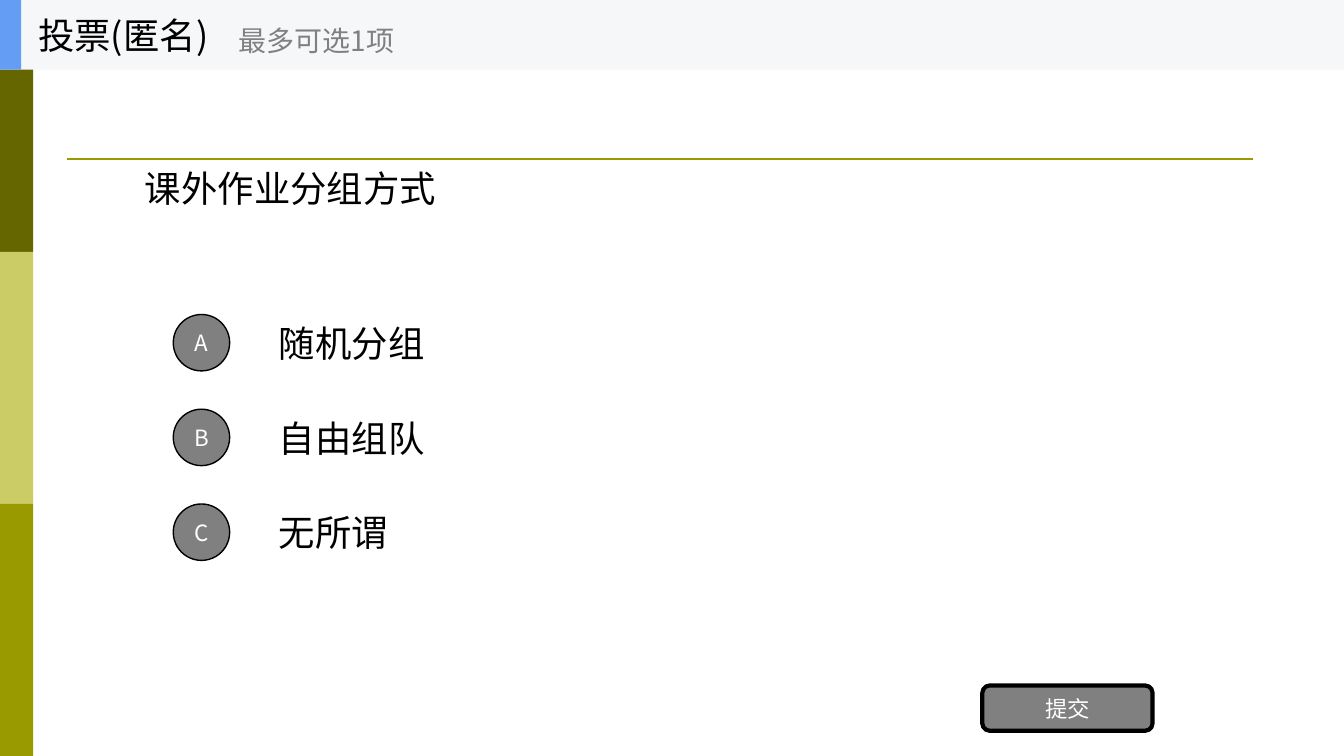
from dataclasses import dataclass
from typing import Optional

from lxml.etree import SubElement
from pptx import Presentation
from pptx.dml.color import RGBColor
from pptx.enum.shapes import MSO_CONNECTOR, MSO_SHAPE
from pptx.enum.text import MSO_ANCHOR, PP_ALIGN
from pptx.oxml.ns import qn
from pptx.util import Inches, Pt

FONT = "Noto Sans CJK SC"
COLORS = {
    "black": "000000",
    "white": "FFFFFF",
    "gray": "808080",
    "dark_olive": "666600",
    "light_olive": "CCCC66",
    "olive": "999900",
    "header": "F6F7F8",
    "accent": "639EF4",
}


@dataclass
class Box:
    left: float
    top: float
    width: float
    height: float


@dataclass
class Label:
    text: str
    box: Box
    size: float = 26
    color: str = "black"


@dataclass
class Block:
    box: Box
    fill: str
    kind: MSO_SHAPE = MSO_SHAPE.RECTANGLE
    line_width: Optional[float] = None
    text: str = ""


def color(name: str) -> RGBColor:
    return RGBColor.from_string(COLORS[name])


def lengths(box: Box) -> list:
    return [Inches(value) for value in (box.left, box.top, box.width, box.height)]


def write(text_frame, text: str, size: float, color_name: str, alignment: PP_ALIGN) -> None:
    text_frame.text = text
    text_frame.word_wrap = True
    text_frame.vertical_anchor = MSO_ANCHOR.MIDDLE
    paragraph = text_frame.paragraphs[0]
    paragraph.alignment = alignment
    for run in paragraph.runs:
        run.font.size = Pt(size)
        run.font.color.rgb = color(color_name)
        run.font.name = FONT
        # East Asian typeface
        SubElement(run._r.get_or_add_rPr(), qn("a:ea")).set("typeface", FONT)


def add_label(slide, label: Label) -> None:
    shape = slide.shapes.add_textbox(*lengths(label.box))
    write(shape.text_frame, label.text, label.size, label.color, PP_ALIGN.LEFT)


def add_block(slide, block: Block) -> None:
    shape = slide.shapes.add_shape(block.kind, *lengths(block.box))
    shape.shadow.inherit = False
    shape.fill.solid()
    shape.fill.fore_color.rgb = color(block.fill)
    if block.line_width is None:
        shape.line.fill.background()
    else:
        shape.line.color.rgb = color("black")
        shape.line.width = Pt(block.line_width)
    if block.text:
        write(shape.text_frame, block.text, 16, "white", PP_ALIGN.CENTER)


def add_rule(slide) -> None:
    rule = slide.shapes.add_connector(
        MSO_CONNECTOR.STRAIGHT, Inches(0.67), Inches(1.58), Inches(12.44), Inches(1.58)
    )
    rule.line.color.rgb = color("olive")
    rule.line.width = Pt(1.5)
    SubElement(rule._element.spPr, qn("a:effectLst"))


def main() -> None:
    presentation = Presentation()
    presentation.slide_width = Inches(13.34)
    presentation.slide_height = Inches(7.5)
    slide = presentation.slides.add_slide(presentation.slide_layouts[6])

    # Side bands and rule
    for index, fill in enumerate(("dark_olive", "light_olive", "olive")):
        add_block(slide, Block(Box(0, 2.5 * index, 0.33, 2.5), fill))
    add_rule(slide)

    # Question
    add_label(slide, Label("课外作业分组方式", Box(1.34, 0.69, 10.67, 2.34)))

    # Options
    for index, (letter, option) in enumerate(zip("ABC", ("随机分组", "自由组队", "无所谓"))):
        top = 3.05 + 0.94 * index
        add_label(slide, Label(option, Box(2.67, top, 9.33, 0.7)))
        circle = Box(1.72, top + 0.07, 0.56, 0.56)
        add_block(slide, Block(circle, "gray", MSO_SHAPE.OVAL, 1, letter))

    # Submit button
    button = Box(9.75, 6.8, 1.69, 0.45)
    add_block(slide, Block(button, "gray", MSO_SHAPE.ROUNDED_RECTANGLE, 3, "提交"))

    # Header
    add_block(slide, Block(Box(0, 0, 13.34, 0.69), "header"))
    add_block(slide, Block(Box(0, 0, 0.21, 0.69), "accent"))
    add_label(slide, Label("投票(匿名)", Box(0.28, 0, 2.4, 0.69)))
    add_label(slide, Label("最多可选1项", Box(2.27, 0.12, 2.5, 0.56), 20, "gray"))

    presentation.save("out.pptx")


if __name__ == "__main__":
    main()
